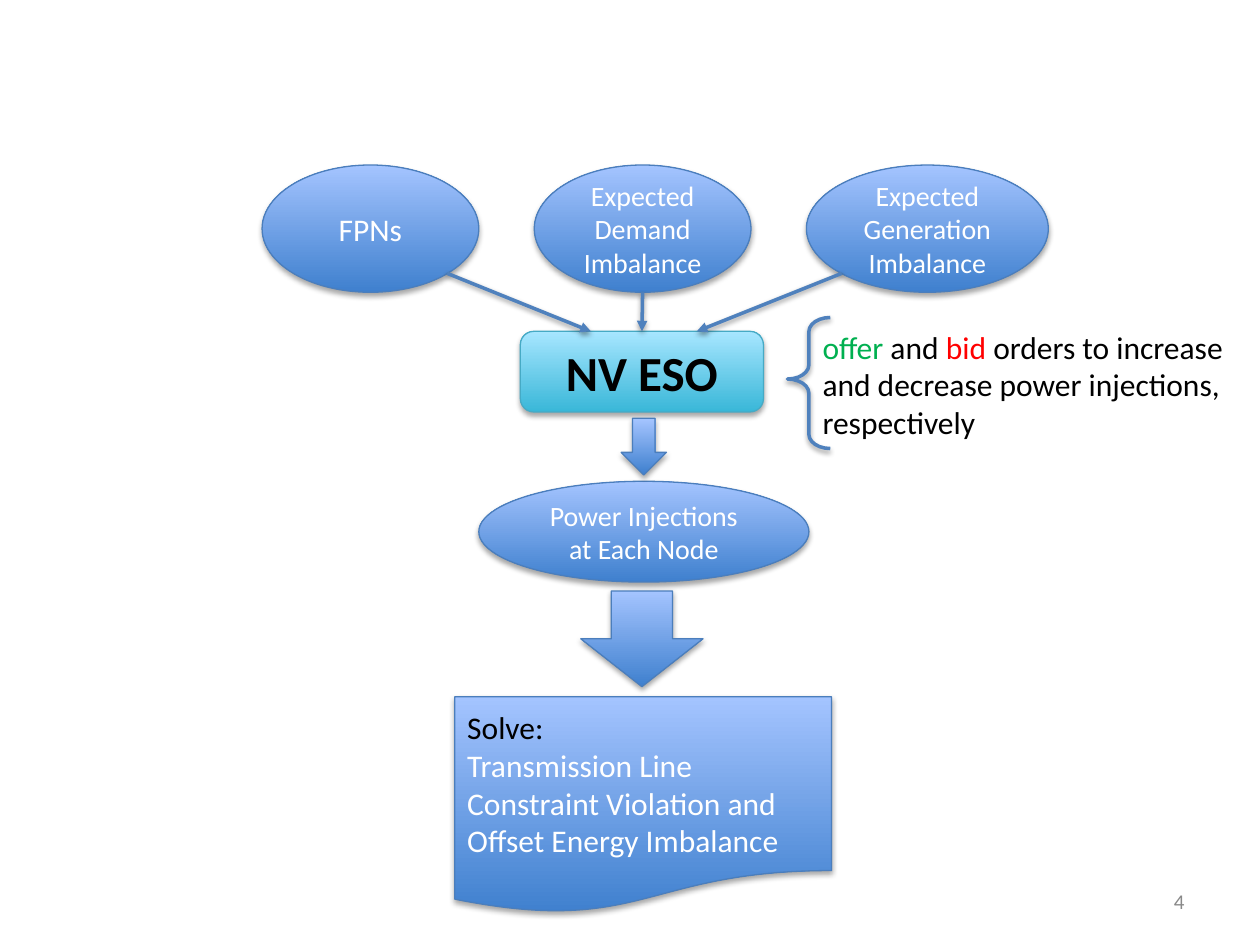
from dataclasses import dataclass

from lxml.etree import SubElement
from pptx import Presentation
from pptx.dml.color import RGBColor as Rgb
from pptx.enum.shapes import MSO_CONNECTOR as Link, MSO_SHAPE as Kind
from pptx.enum.text import MSO_ANCHOR as Anchor, PP_ALIGN as Align
from pptx.oxml.ns import qn
from pptx.util import Inches, Pt

INK = {
    "low": "3F80CE", "high": "A4C4FF", "edge": "4B7EBC", "line": "4F81BD",
    "aqua low": "39B7D8", "aqua high": "A7E6FF", "aqua edge": "46AAC5",
    "white": "FFFFFF", "black": "000000", "green": "00B050", "red": "FF0000",
    "grey": "898989",
}
FONT = "Calibri"


@dataclass
class Run:
    text: str
    color: str = "white"


@dataclass
class Block:
    kind: Kind
    box: tuple[float, float, float, float]
    paras: tuple[tuple[Run, ...], ...] = ()
    size: int = 16
    tint: str = ""
    bold: bool = False
    align: Align = Align.CENTER


@dataclass
class Arrow:
    start: tuple[float, float]
    end: tuple[float, float]


def color(name: str) -> Rgb:
    return Rgb.from_string(INK[name])


def shade(item, alpha: int, dist: float) -> None:
    effects = SubElement(item._element.spPr, qn("a:effectLst"))
    cast = SubElement(effects, qn("a:outerShdw"), blurRad=str(Pt(3.1)),
                      dist=str(Pt(dist)), dir="5400000", rotWithShape="0")
    tone = SubElement(cast, qn("a:srgbClr"), val=INK["black"])
    SubElement(tone, qn("a:alpha"), val=str(alpha * 1000))


def stroke(item, name: str, width: float) -> None:
    item.line.color.rgb = color(name)
    item.line.width = Pt(width)


def write(frame, paras: tuple[tuple[Run, ...], ...], size: int,
          align: Align, bold: bool = False) -> None:
    frame.word_wrap = True
    for i, runs in enumerate(paras):
        para = frame.add_paragraph() if i else frame.paragraphs[0]
        para.alignment = align
        for part in runs:
            run = para.add_run()
            run.text = part.text
            run.font.name = FONT
            run.font.size = Pt(size)
            run.font.bold = bold
            run.font.color.rgb = color(part.color)


def draw_block(slide, block: Block):
    shape = slide.shapes.add_shape(block.kind, *map(Inches, block.box))
    shape.fill.gradient()
    shape.fill.gradient_angle = 90
    for stop, end in zip(shape.fill.gradient_stops, ("low", "high")):
        stop.color.rgb = color(block.tint + end)
    stroke(shape, block.tint + "edge", 0.75)
    shade(shape, 35, 1.8)
    shape.text_frame.vertical_anchor = Anchor.MIDDLE
    write(shape.text_frame, block.paras, block.size, block.align, block.bold)
    return shape


def draw_arrow(slide, arrow: Arrow):
    line = slide.shapes.add_connector(
        Link.STRAIGHT, *map(Inches, arrow.start + arrow.end))
    stroke(line, "line", 2)
    SubElement(line.line._get_or_add_ln(), qn("a:tailEnd"), type="triangle")
    shade(line, 38, 1.6)
    return line


def draw_brace(slide) -> None:
    brace = slide.shapes.add_shape(
        Kind.LEFT_BRACE, *map(Inches, (6.25, 2.52, 0.34, 1.04)))
    brace.adjustments[0] = 0.33
    brace.adjustments[1] = 0.47
    brace.fill.background()
    stroke(brace, "line", 2)
    shade(brace, 38, 1.6)


def draw_text(slide, box: tuple[float, float, float, float],
              runs: tuple[Run, ...], size: int, align: Align,
              anchor: Anchor) -> None:
    frame = slide.shapes.add_textbox(*map(Inches, box)).text_frame
    frame.vertical_anchor = anchor
    write(frame, (runs,), size, align)


INPUTS = (
    Block(Kind.OVAL, (2.08, 1.31, 1.72, 1.01), ((Run("FPNs"),),), 18),
    Block(Kind.OVAL, (6.4, 1.31, 1.92, 1.01),
          ((Run("Expected Generation Imbalance"),),)),
    Block(Kind.OVAL, (4.24, 1.31, 1.72, 1.01),
          ((Run("Expected Demand Imbalance"),),)),
)
HUB = Block(Kind.ROUNDED_RECTANGLE, (4.13, 2.63, 1.93, 0.64),
            ((Run("NV ESO", "black"),),), 28, "aqua ", True)
STEPS = (
    Block(Kind.OVAL, (3.8, 3.82, 2.62, 0.8),
          ((Run("Power Injections at Each Node"),),)),
    Block(Kind.DOWN_ARROW, (4.93, 3.32, 0.36, 0.45)),
    Block(Kind.DOWN_ARROW, (4.61, 4.69, 0.97, 0.76)),
    Block(Kind.FLOWCHART_DOCUMENT, (3.61, 5.53, 2.99, 1.72),
          ((Run("Solve:", "black"),),
           (Run("Transmission Line Constraint Violation and "
                "Offset Energy Imbalance"),)), 18, align=Align.LEFT),
)
SIDES = (Arrow((3.55, 2.17), (4.69, 2.63)), Arrow((6.68, 2.17), (5.53, 2.63)))
MIDDLE = Arrow((5.1, 2.32), (5.1, 2.63))
ORDERS = (
    Run("offer", "green"), Run(" and ", "black"), Run("bid", "red"),
    Run(" orders to increase and decrease power injections, respectively",
        "black"),
)


def main() -> None:
    deck = Presentation()
    deck.slide_width, deck.slide_height = Inches(10), Inches(7.5)
    slide = deck.slides.add_slide(deck.slide_layouts[6])
    for block in INPUTS:
        draw_block(slide, block)
    hub = draw_block(slide, HUB)
    for arrow in SIDES:
        draw_arrow(slide, arrow)
    draw_arrow(slide, MIDDLE).end_connect(hub, 0)
    for block in STEPS:
        draw_block(slide, block)
    draw_brace(slide)
    draw_text(slide, (6.43, 2.55, 3.43, 1.01), ORDERS, 18,
              Align.LEFT, Anchor.TOP)
    draw_text(slide, (7.17, 6.95, 2.33, 0.4), (Run("4", "grey"),), 12,
              Align.RIGHT, Anchor.MIDDLE)
    deck.save("out.pptx")


if __name__ == "__main__":
    main()
